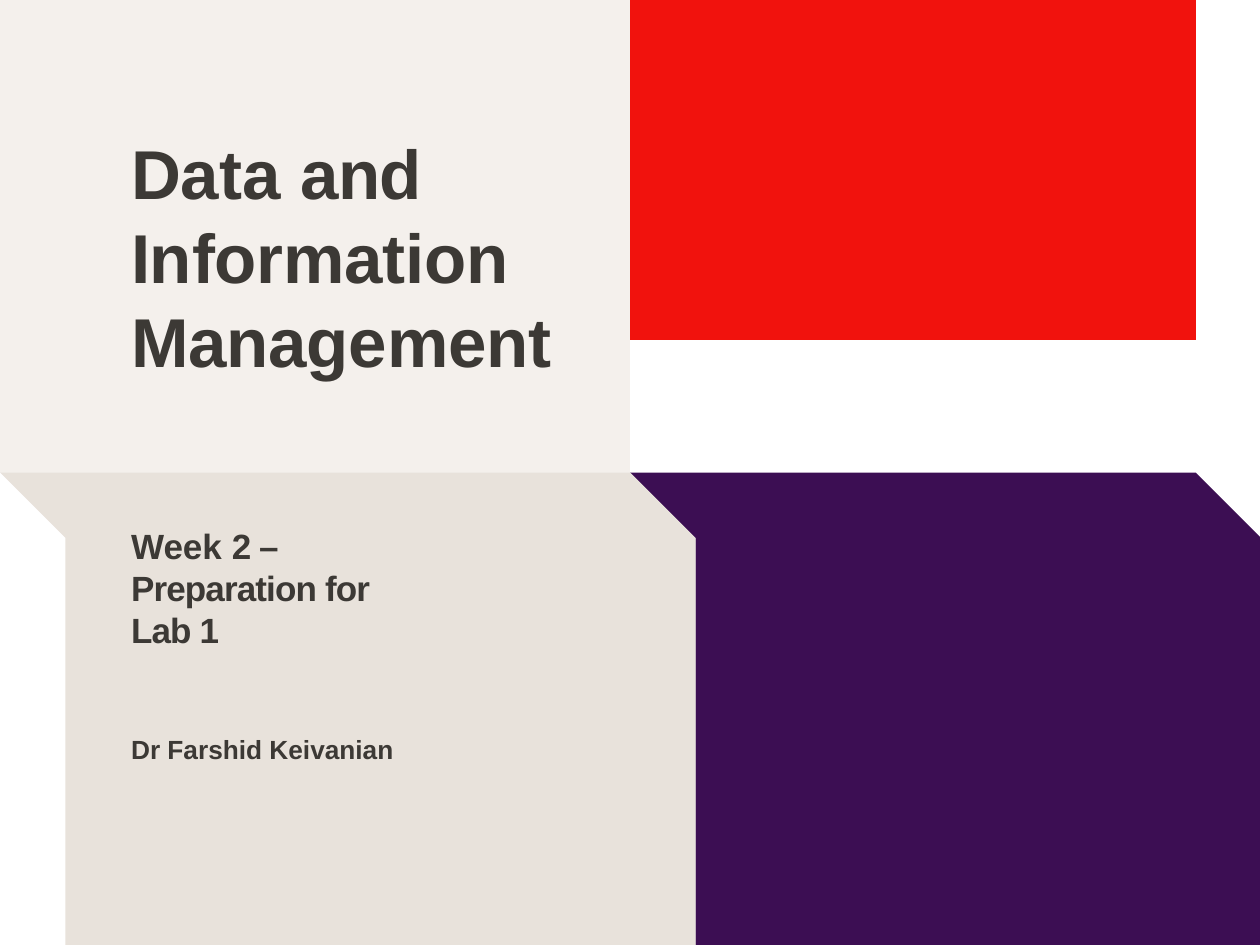
from pptx import Presentation
from pptx.dml.color import RGBColor
from pptx.util import Inches, Pt

COLORS = {"red": "F1120D", "purple": "3C0E53", "cream": "F4F0EC",
          "sand": "E8E2DB", "text": "3C3935"}

W, H = 10, 7.5
MID_X, MID_Y = W / 2, H / 2
RIGHT = 9.49   # right edge of the upper panels
FOLD = 0.52    # depth of the slanted corners

# Panels: colour, outline points
PANELS = [
    ("red", [(MID_X, 0), (RIGHT, 0), (RIGHT, 2.7), (MID_X, 2.7)]),
    ("purple", [(MID_X, MID_Y), (RIGHT, MID_Y), (W, MID_Y + W - RIGHT), (W, H),
                (MID_X + FOLD, H), (MID_X + FOLD, MID_Y + FOLD)]),
    ("cream", [(0, 0), (MID_X, 0), (MID_X, MID_Y), (0, MID_Y)]),
    ("sand", [(0, MID_Y), (MID_X, MID_Y), (MID_X + FOLD, MID_Y + FOLD),
              (MID_X + FOLD, H), (FOLD, H), (FOLD, MID_Y + FOLD)]),
]

# Texts: top, width, height, top inset, size, line spacing, runs (text, tracking in pt)
TEXT_LEFT = 1.04
TEXTS = [
    (1.02, 3.42, 2.03, 0.01, 39.5, 1.01,
     [("Data ", 0), ("and ", -0.2), ("Information Management", -0.1)]),
    (4.01, 2.02, 1.16, 0.15, 20, 1,
     [("Week ", 0), ("2 – Preparation for Lab 1", -0.5)]),
    (5.81, 2.71, 0.27, 0.01, 15, 1, [("Dr Farshid Keivanian", 0)]),
]


def color(name):
    return RGBColor.from_string(COLORS[name])


def add_panel(s, fill, points):
    pts = [(Inches(x), Inches(y)) for x, y in points]
    fb = s.shapes.build_freeform(*pts[0])
    fb.add_line_segments(pts[1:], close=True)
    sp = fb.convert_to_shape()
    sp.shadow.inherit = False
    sp.fill.solid()
    sp.fill.fore_color.rgb = color(fill)
    sp.line.fill.background()


def add_text(s, top, width, height, inset, size, spacing, runs):
    sp = s.shapes.add_textbox(Inches(TEXT_LEFT), Inches(top), Inches(width), Inches(height))
    tf = sp.text_frame
    tf.word_wrap = True
    tf.margin_left = tf.margin_right = tf.margin_bottom = 0
    tf.margin_top = Inches(inset)
    p = tf.paragraphs[0]
    p.line_spacing = spacing
    for text, tracking in runs:
        r = p.add_run()
        r.text = text
        r.font.name = "Arial"
        r.font.size = Pt(size)
        r.font.bold = True
        r.font.color.rgb = color("text")
        if tracking:
            r.font._element.set("spc", str(round(tracking * 100)))


prs = Presentation()
prs.slide_width, prs.slide_height = Inches(W), Inches(H)
s = prs.slides.add_slide(prs.slide_layouts[6])

for panel in PANELS:
    add_panel(s, *panel)
for text in TEXTS:
    add_text(s, *text)

prs.save("out.pptx")
